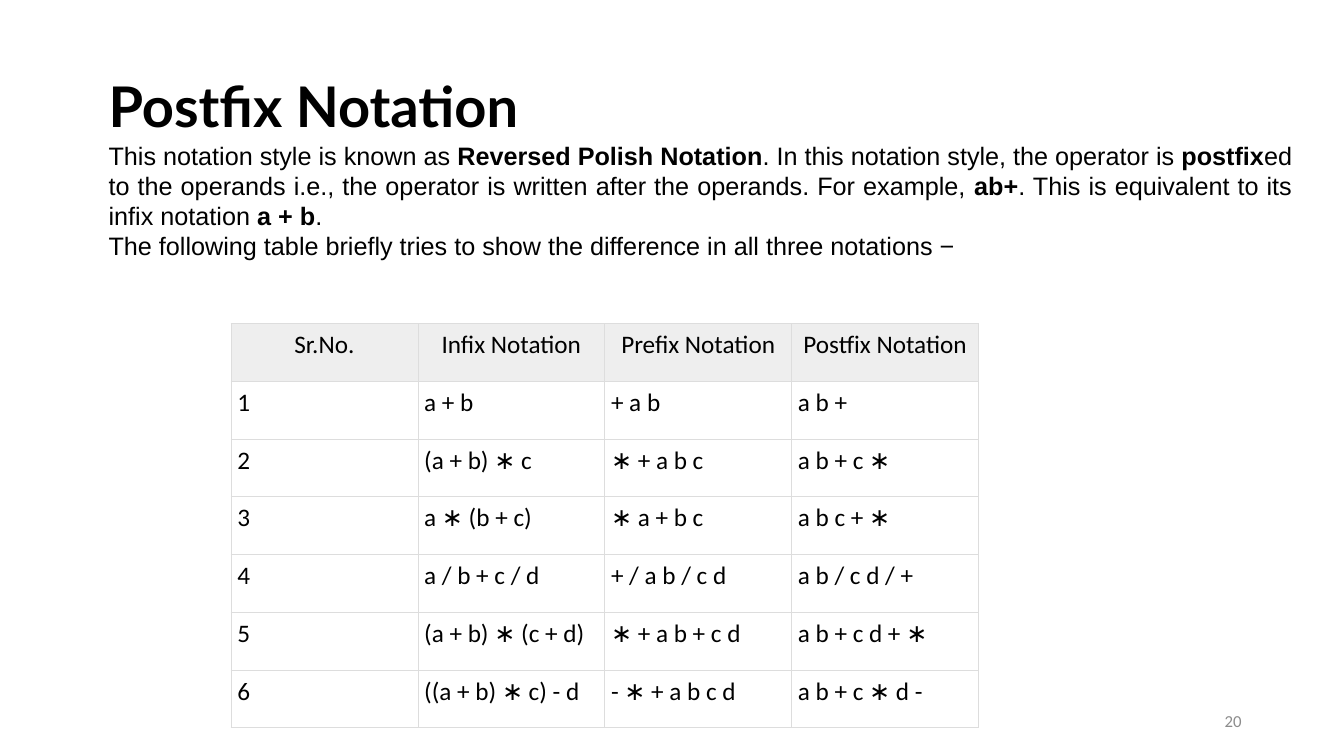
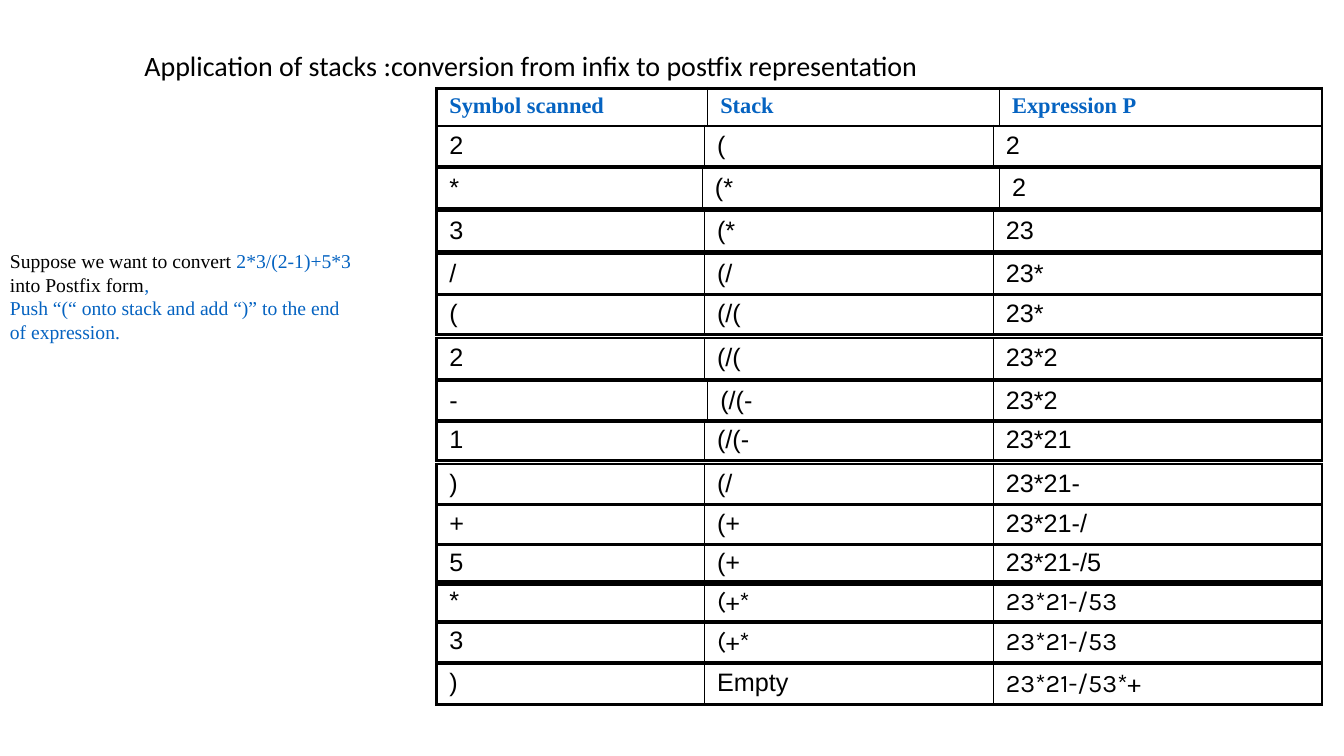
from dataclasses import dataclass
from typing import Sequence

import pptx
import pptx.dml.color
import pptx.enum.text
import pptx.oxml
import pptx.oxml.ns
import pptx.util

EMU_PER_PX = 9525
ALIGN = pptx.enum.text.PP_ALIGN
ANCHOR = pptx.enum.text.MSO_ANCHOR


@dataclass(frozen=True)
class Theme:
    ink: str = "000000"
    accent: str = "0563C1"
    muted: str = "8C8C8C"
    header_fill: str = "EEEEEE"
    grid: str = "DDDDDD"
    heading_face: str = "Lato"
    body_face: str = "Arial"
    table_face: str = "Calibri"
    serif_face: str = "Times New Roman"
    trace_face: str = "Karla"
    heading_size: int = 40
    title_size: int = 20
    body_size: int = 18
    label_size: int = 16
    note_size: int = 14
    footer_size: int = 12
    hairline: float = 0.5
    thin: float = 1
    thick: float = 2.25


THEME = Theme()


@dataclass(frozen=True)
class Style:
    face: str
    size: int
    color: str = THEME.ink
    bold: bool = False


@dataclass(frozen=True)
class Span:
    text: str
    style: Style


@dataclass(frozen=True)
class Para:
    spans: Sequence[Span]
    align: ALIGN = ALIGN.LEFT
    line_spacing: float = 1.0


@dataclass(frozen=True)
class Box:
    left: int
    top: int
    width: int
    height: int


@dataclass(frozen=True)
class Edges:
    """Border widths in points."""
    left: float
    right: float
    top: float
    bottom: float


@dataclass(frozen=True)
class Step:
    """One row of the conversion trace."""
    top: int
    cells: tuple[str, str, str]
    columns: tuple[int, int, int] = (255, 275, 313)
    trace_cells: tuple[int, ...] = ()


HEADING = Style(THEME.heading_face, THEME.heading_size, bold=True)
TITLE = Style(THEME.table_face, THEME.title_size)
BODY = Style(THEME.body_face, THEME.body_size)
STRONG = Style(THEME.body_face, THEME.body_size, bold=True)
NOTATION = Style(THEME.table_face, THEME.body_size)
NOTE = Style(THEME.serif_face, THEME.note_size)
NOTE_ACCENT = Style(THEME.serif_face, THEME.note_size, THEME.accent)
LABEL = Style(THEME.serif_face, THEME.label_size, THEME.accent, True)
TRACE = Style(THEME.trace_face, THEME.body_size)
FOOTER = Style(THEME.table_face, THEME.footer_size, THEME.muted)

NOTATION_ROWS = (
    ("Sr.No.", "Infix Notation", "Prefix Notation", "Postfix Notation"),
    ("1", "a + b", "+ a b", "a b +"),
    ("2", "(a + b) ∗ c", "∗ + a b c", "a b + c ∗"),
    ("3", "a ∗ (b + c)", "∗ a + b c", "a b c + ∗"),
    ("4", "a / b + c / d", "+ / a b / c d", "a b / c d / +"),
    ("5", "(a + b) ∗ (c + d)", "∗ + a b + c d", "a b + c d + ∗"),
    ("6", "((a + b) ∗ c) - d", "- ∗ + a b c d", "a b + c ∗ d -"),
)

TRACE_HEADER = Step(84, ("Symbol scanned", "Stack", "Expression P"), (258, 278, 307))
STEPS = (
    Step(120, ("2", "(", "2")),
    Step(160, ("*", "(*", "2"), (253, 283, 307)),
    Step(201, ("3", "(*", "23")),
    Step(242, ("/", "(/", "23*")),
    Step(280, ("(", "(/(", "23*")),
    Step(322, ("2", "(/(", "23*2")),
    Step(363, ("-", "(/(-", "23*2"), (258, 272, 313)),
    Step(400, ("1", "(/(-", "23*21")),
    Step(442, (")", "(/", "23*21-")),
    Step(480, ("+", "(+", "23*21-/")),
    Step(518, ("5", "(+", "23*21-/5")),
    Step(554, ("*", "(+*", "23*21-/53"), trace_cells=(1, 2)),
    Step(592, ("3", "(+*", "23*21-/53"), trace_cells=(1, 2)),
    Step(632, (")", "Empty", "23*21-/53*+"), trace_cells=(2,)),
)


def px(length: int) -> pptx.util.Emu:
    return pptx.util.Emu(length * EMU_PER_PX)


def place(box: Box) -> list[pptx.util.Emu]:
    return [px(length) for length in (box.left, box.top, box.width, box.height)]


def format_run(run, style: Style) -> None:
    run.font.name = style.face
    run.font.size = pptx.util.Pt(style.size)
    run.font.bold = style.bold
    run.font.color.rgb = pptx.dml.color.RGBColor.from_string(style.color)


def add_text(slide, box: Box, paras: Sequence[Para], anchor: ANCHOR = ANCHOR.MIDDLE) -> None:
    frame = slide.shapes.add_textbox(*place(box)).text_frame
    frame.word_wrap = True
    frame.vertical_anchor = anchor
    for index, para in enumerate(paras):
        paragraph = frame.add_paragraph() if index else frame.paragraphs[0]
        paragraph.alignment = para.align
        paragraph.line_spacing = para.line_spacing
        for span in para.spans:
            run = paragraph.add_run()
            run.text = span.text
            format_run(run, span.style)


def set_borders(cell, edges: Edges, color: str) -> None:
    properties = cell._tc.get_or_add_tcPr()
    namespace = pptx.oxml.ns.nsdecls("a")
    sides = (("L", edges.left), ("R", edges.right), ("T", edges.top), ("B", edges.bottom))
    for side, width in sides:
        properties.append(pptx.oxml.parse_xml(
            f'<a:ln{side} {namespace} w="{int(pptx.util.Pt(width))}"><a:solidFill>'
            f'<a:srgbClr val="{color}"/></a:solidFill></a:ln{side}>'))


def add_grid(slide, left: int, top: int, columns: Sequence[int], row_height: int, rows: int):
    box = Box(left, top, sum(columns), row_height * rows)
    grid = slide.shapes.add_table(rows, len(columns), *place(box)).table
    grid.first_row = grid.horz_banding = False
    for column, width in zip(grid.columns, columns):
        column.width = px(width)
    for row in grid.rows:
        row.height = px(row_height)
    return grid


def fill_cell(cell, text: str, style: Style, edges: Edges, line: str,
              inset: tuple[int, int], fill: str | None = None,
              align: ALIGN = ALIGN.LEFT) -> None:
    set_borders(cell, edges, line)
    if fill:
        cell.fill.solid()
        cell.fill.fore_color.rgb = pptx.dml.color.RGBColor.from_string(fill)
    else:
        cell.fill.background()
    cell.margin_left = cell.margin_right = px(inset[0])
    cell.margin_top = cell.margin_bottom = px(inset[1])
    paragraph = cell.text_frame.paragraphs[0]
    paragraph.text = text
    paragraph.alignment = align
    format_run(paragraph.runs[0], style)


def add_step(slide, step: Step, style: Style, height: int) -> None:
    grid = add_grid(slide, 416, step.top, step.columns, height, 1)
    last = len(step.cells) - 1
    for index, text in enumerate(step.cells):
        edges = Edges(THEME.thin if index else THEME.thick,
                      THEME.thick if index == last else THEME.thin,
                      THEME.thick, THEME.thick)
        face = TRACE if index in step.trace_cells else style
        fill_cell(grid.cell(0, index), text, face, edges, THEME.ink, (12, 5))


def build_notation_slide(slide) -> None:
    # Notation table
    grid = add_grid(slide, 220, 308, (178,) * 4, 55, len(NOTATION_ROWS))
    hairlines = Edges(*(THEME.hairline,) * 4)
    for row, texts in enumerate(NOTATION_ROWS):
        fill = None if row else THEME.header_fill
        align = ALIGN.LEFT if row else ALIGN.CENTER
        for column, text in enumerate(texts):
            fill_cell(grid.cell(row, column), text, NOTATION, hairlines,
                      THEME.grid, (6, 6), fill, align)

    # Page number
    add_text(slide, Box(904, 667, 288, 38), [Para([Span("20", FOOTER)], ALIGN.RIGHT)])

    # Heading and explanation
    explanation = (
        Span("This notation style is known as ", BODY),
        Span("Reversed Polish Notation", STRONG),
        Span(". In this notation style, the operator is ", BODY),
        Span("postfix", STRONG),
        Span("ed to the operands i.e., the operator is written after the operands. "
             "For example, ", BODY),
        Span("ab+", STRONG),
        Span(". This is equivalent to its infix notation ", BODY),
        Span("a + b", STRONG),
        Span(".", BODY),
    )
    lead_in = Span("The following table briefly tries to show the difference "
                   "in all three notations −", BODY)
    add_text(slide, Box(94, 71, 1146, 184), [
        Para([Span("Postfix Notation", HEADING)], line_spacing=0.9),
        Para(explanation, ALIGN.JUSTIFY),
        Para([lead_in], ALIGN.JUSTIFY),
    ], ANCHOR.TOP)


def build_conversion_slide(slide) -> None:
    # Title
    title = Span("Application of stacks :conversion from infix to postfix representation", TITLE)
    add_text(slide, Box(128, 32, 1110, 64), [Para([title], line_spacing=0.9)])

    # Task
    add_text(slide, Box(0, 232, 352, 100), [
        Para([Span("Suppose we want to convert", NOTE),
              Span(" 2*3/(2-1)+5*3 ", NOTE_ACCENT),
              Span("into Postfix form", NOTE),
              Span(",", NOTE_ACCENT)]),
        Para([Span("Push “(“ onto stack and add “)” to the end of expression.", NOTE_ACCENT)]),
    ])

    # Conversion trace
    add_step(slide, TRACE_HEADER, LABEL, 36)
    for step in STEPS:
        add_step(slide, step, BODY, 38)


def main() -> None:
    deck = pptx.Presentation()
    deck.slide_width, deck.slide_height = px(1280), px(720)
    blank = deck.slide_layouts[6]
    for build in (build_notation_slide, build_conversion_slide):
        build(deck.slides.add_slide(blank))
    deck.save("out.pptx")


if __name__ == "__main__":
    main()
